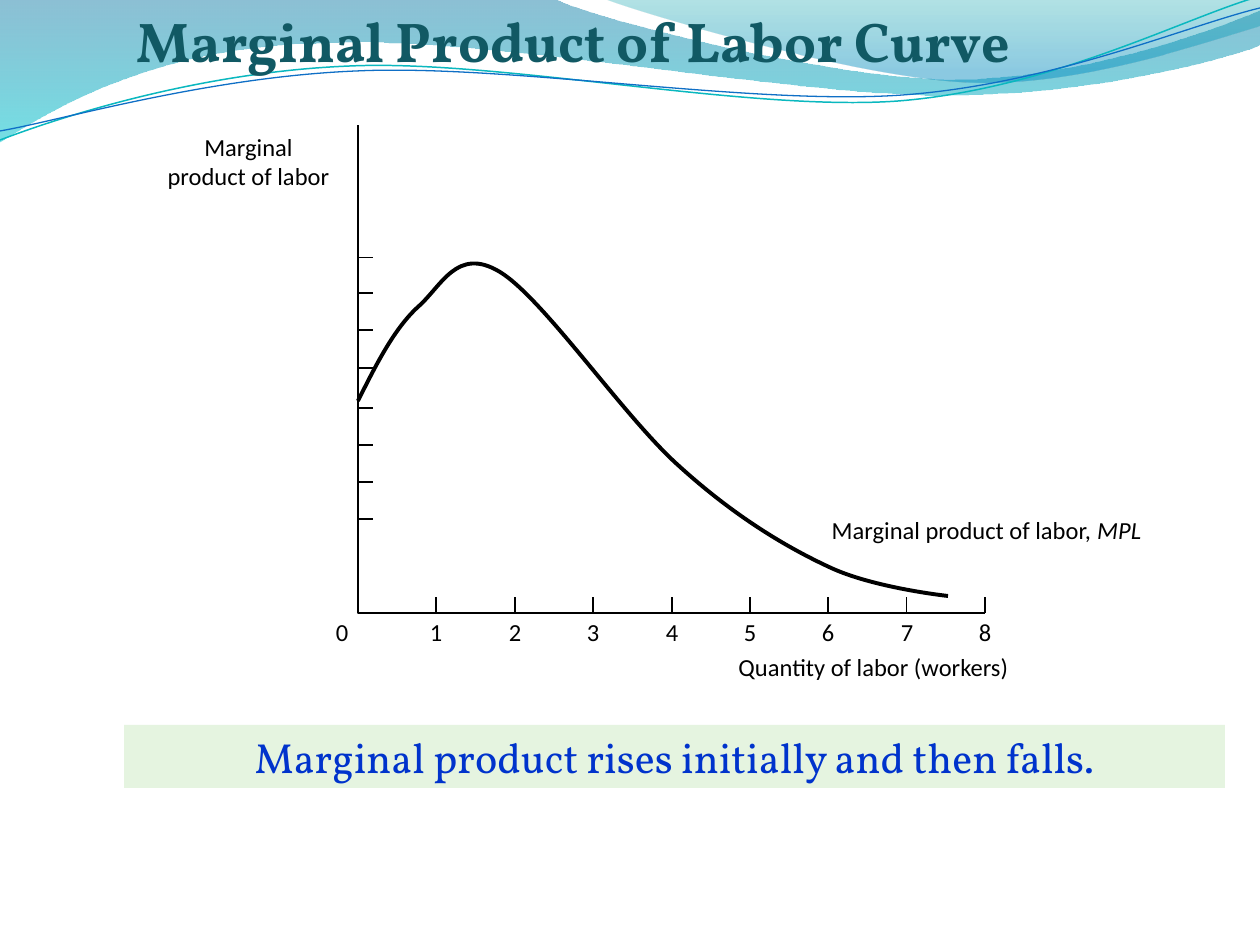
import pptx
import pptx.util
import pptx.dml.color
import pptx.enum.shapes
import pptx.enum.text
import pptx.oxml.ns
import pptx.oxml.xmlchemy

RGB = pptx.dml.color.RGBColor
ALIGN = pptx.enum.text.PP_ALIGN
EMU_PER_PX = 914400 / 126

BLACK = RGB(0x00, 0x00, 0x00)
TITLE_TEAL = RGB(0x11, 0x59, 0x64)
BANNER_GREEN = RGB(0xE5, 0xF4, 0xE0)
BANNER_BLUE = RGB(0x00, 0x33, 0xCC)
WAVE_TEAL = RGB(0x0A, 0xB8, 0xBF)
WAVE_BLUE = RGB(0x0F, 0x6F, 0xC6)
# Gradient stops: position, colour, opacity in percent
BACK_STOPS = [(0, RGB(0x00, 0x74, 0xA1), 45), (1, RGB(0x00, 0xC6, 0xCF), 55)]
FRONT_STOPS = [(0, RGB(0x00, 0xA1, 0xA9), 30), (0.8, RGB(0x00, 0x8B, 0xBF), 45)]

# Each path is a start point and segments: one point is a line, three a curve
BACK_WAVE = [(0, 0), [(554, -1)],
             [(600, 21), (837, 79), (955, 79)],
             [(1075, 79), (1207, 33), (1260, 11)], [(1261, 45)],
             [(1239, 55), (1096, 96), (940, 95)],
             [(784, 95), (481, 35), (324, 43)],
             [(163, 45), (58, 105), (-1, 142)]]
FRONT_WAVE = [(604, -1), [(641, 14), (859, 78), (969, 82)],
              [(1079, 87), (1211, 40), (1260, 26)], [(1260, 0)]]
TEAL_WAVE = [(0, 140), [(60, 117), (199, 72), (349, 66)],
             [(498, 59), (747, 112), (898, 101)],
             [(1050, 89), (1182, 19), (1257, -3)]]
BLUE_WAVE = [(0, 131), [(59, 121), (207, 77), (357, 71)],
             [(508, 64), (753, 106), (903, 95)],
             [(1053, 84), (1186, 26), (1260, 8)]]
MPL_CURVE = [(358, 401), [(376, 365), (394, 329), (418, 307)],
             [(442, 286), (457, 246), (500, 272)],
             [(544, 299), (624, 417), (679, 466)],
             [(733, 515), (784, 546), (829, 567)],
             [(873, 588), (948, 596), (948, 596)]]

# Axes
ORIGIN_X, ORIGIN_Y = 358, 613
AXIS_TOP, AXIS_RIGHT = 125, 985
WORKERS = 8
Y_TICKS = [258, 293, 330, 368, 408, 445, 482, 519]
TICK = 16
AXIS_WIDTH = 0.63


def px(n):
    return pptx.util.Emu(round(n * EMU_PER_PX))


def element(tag):
    return pptx.oxml.xmlchemy.OxmlElement(tag)


def add_text(sp, text, size=14, font="Calibri", color=BLACK, bold=False,
             align=ALIGN.LEFT, wrap=True, inset=None, italic_tail=""):
    tf = sp.text_frame
    tf.word_wrap = wrap
    tf.vertical_anchor = pptx.enum.text.MSO_ANCHOR.TOP
    if inset is not None:
        tf.margin_left = tf.margin_right = px(inset)
        tf.margin_top = tf.margin_bottom = px(inset)
    p = tf.paragraphs[0]
    p.alignment = align
    for part, italic in ((text, False), (italic_tail, True)):
        if part:
            r = p.add_run()
            r.text = part
            r.font.name = font
            r.font.size = pptx.util.Pt(size)
            r.font.color.rgb = color
            r.font.bold = bold
            r.font.italic = italic


def add_label(s, box, text, **fmt):
    sp = s.shapes.add_textbox(*map(px, box))
    add_text(sp, text, **fmt)


def add_line(s, x1, y1, x2, y2):
    straight = pptx.enum.shapes.MSO_CONNECTOR.STRAIGHT
    ln = s.shapes.add_connector(straight, px(x1), px(y1), px(x2), px(y2))
    ln.line.color.rgb = BLACK
    ln.line.width = pptx.util.Pt(AXIS_WIDTH)
    ln._element.spPr.append(element("a:effectLst"))


def add_path(s, path, line=None, width=1, stops=None):
    start, segments = path[0], path[1:]
    fb = s.shapes.build_freeform(*start, scale=EMU_PER_PX)
    fb.add_line_segments([pt for seg in segments for pt in seg],
                         close=stops is not None)
    sp = fb.convert_to_shape()
    sp.shadow.inherit = False
    # Join each run of three points into one curve
    steps = iter(list(sp._element.iter(pptx.oxml.ns.qn("a:lnTo"))))
    for seg in segments:
        group = [next(steps) for _ in seg]
        if len(group) == 3:
            curve = element("a:cubicBezTo")
            group[0].addprevious(curve)
            for step in group:
                curve.append(step[0])
                step.getparent().remove(step)
    if stops:
        fill_gradient(sp, stops)
    else:
        sp.fill.background()
    if line is None:
        sp.line.fill.background()
    else:
        sp.line.color.rgb = line
        sp.line.width = pptx.util.Pt(width)


def fill_gradient(sp, stops):
    sp.fill.gradient()
    sp.fill.gradient_angle = 270
    for stop, (position, color, opacity) in zip(sp.fill.gradient_stops, stops):
        stop.position = position
        stop.color.rgb = color
        alpha = element("a:alpha")
        alpha.set("val", str(opacity * 1000))
        stop._gs[0].append(alpha)


def add_waves(s):
    add_path(s, BACK_WAVE, stops=BACK_STOPS)
    add_path(s, FRONT_WAVE, stops=FRONT_STOPS)
    add_path(s, TEAL_WAVE, line=WAVE_TEAL, width=0.85)
    add_path(s, BLUE_WAVE, line=WAVE_BLUE, width=0.75)


def add_banner(s, box, text):
    rect = pptx.enum.shapes.MSO_SHAPE.RECTANGLE
    sp = s.shapes.add_shape(rect, *map(px, box))
    sp.shadow.inherit = False
    sp.fill.solid()
    sp.fill.fore_color.rgb = BANNER_GREEN
    sp.line.fill.background()
    add_text(sp, text, size=24, font="Vollkorn", color=BANNER_BLUE,
             align=ALIGN.CENTER)


def add_axes(s):
    add_path(s, [(AXIS_RIGHT, ORIGIN_Y), [(ORIGIN_X, ORIGIN_Y)],
                 [(ORIGIN_X, AXIS_TOP)]], line=BLACK, width=AXIS_WIDTH)
    for y in Y_TICKS:
        add_line(s, ORIGIN_X, y, ORIGIN_X + TICK - 1, y)
    add_label(s, (336, 617, 13, 24), "0", inset=0, wrap=False)
    for n in range(1, WORKERS + 1):
        x = ORIGIN_X + round(n * (AXIS_RIGHT - ORIGIN_X) / WORKERS)
        add_line(s, x, ORIGIN_Y, x, ORIGIN_Y - TICK)
        add_label(s, (x - 6, 617, 13, 24), str(n), inset=0, wrap=False)


def main():
    prs = pptx.Presentation()
    prs.slide_width, prs.slide_height = px(1260), px(945)
    s = prs.slides.add_slide(prs.slide_layouts[6])

    # Decoration, title and banner
    add_waves(s)
    add_banner(s, (124, 725, 1101, 63),
               "Marginal product rises initially and then falls.")
    add_label(s, (124, 0, 1101, 81), "Marginal Product of Labor Curve",
              size=32, font="Vollkorn", color=TITLE_TEAL, bold=True)

    # Diagram
    add_axes(s)
    add_path(s, MPL_CURVE, line=BLACK, width=2.25)
    centred = dict(align=ALIGN.CENTER, inset=0)
    add_label(s, (163, 132, 171, 59), "Marginal product of labor", **centred)
    add_label(s, (728, 652, 291, 30), "Quantity of labor (workers)",
              wrap=False, **centred)
    add_label(s, (819, 515, 335, 30), "Marginal product of labor, ",
              italic_tail="MPL", wrap=False, **centred)

    prs.save("out.pptx")


main()
